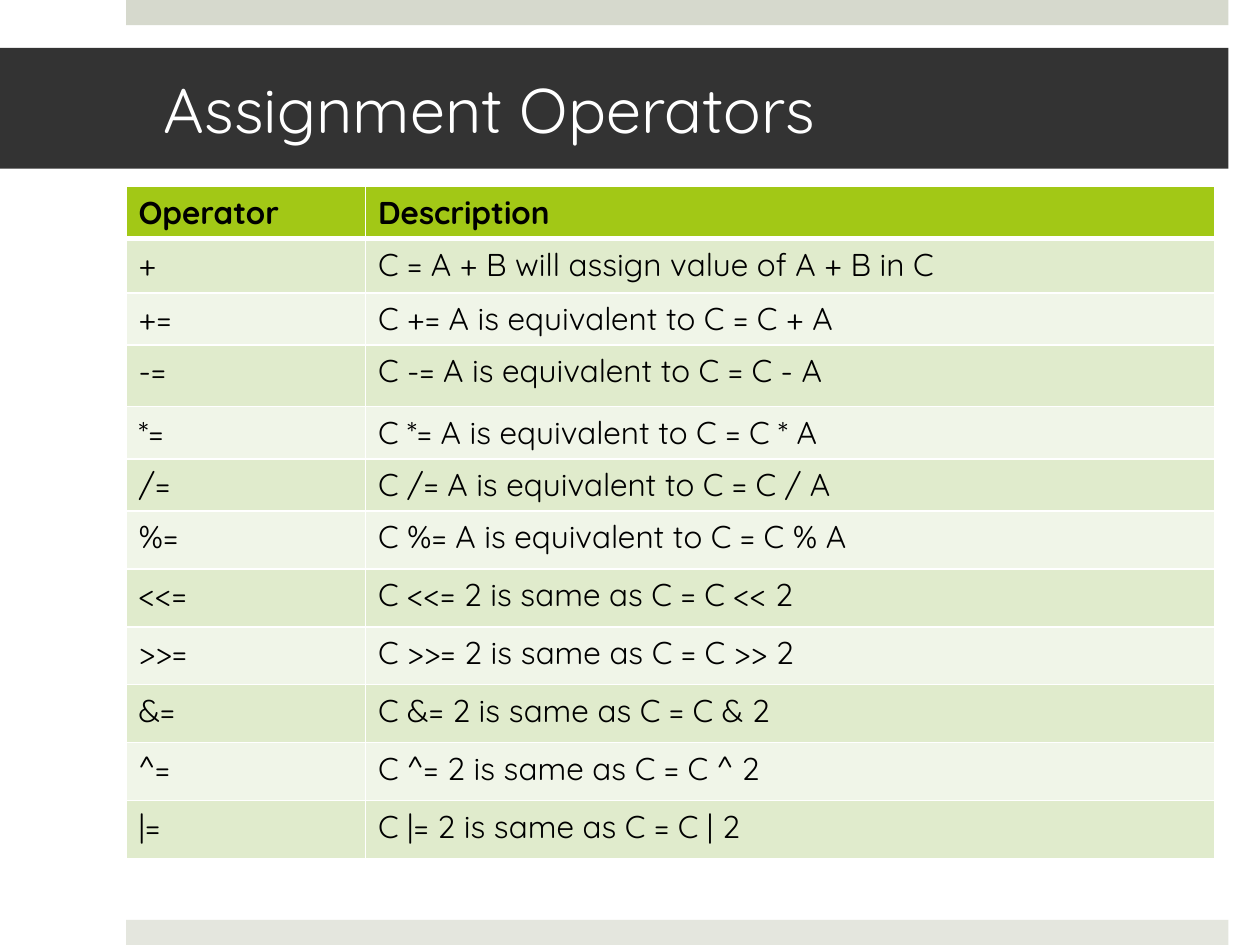
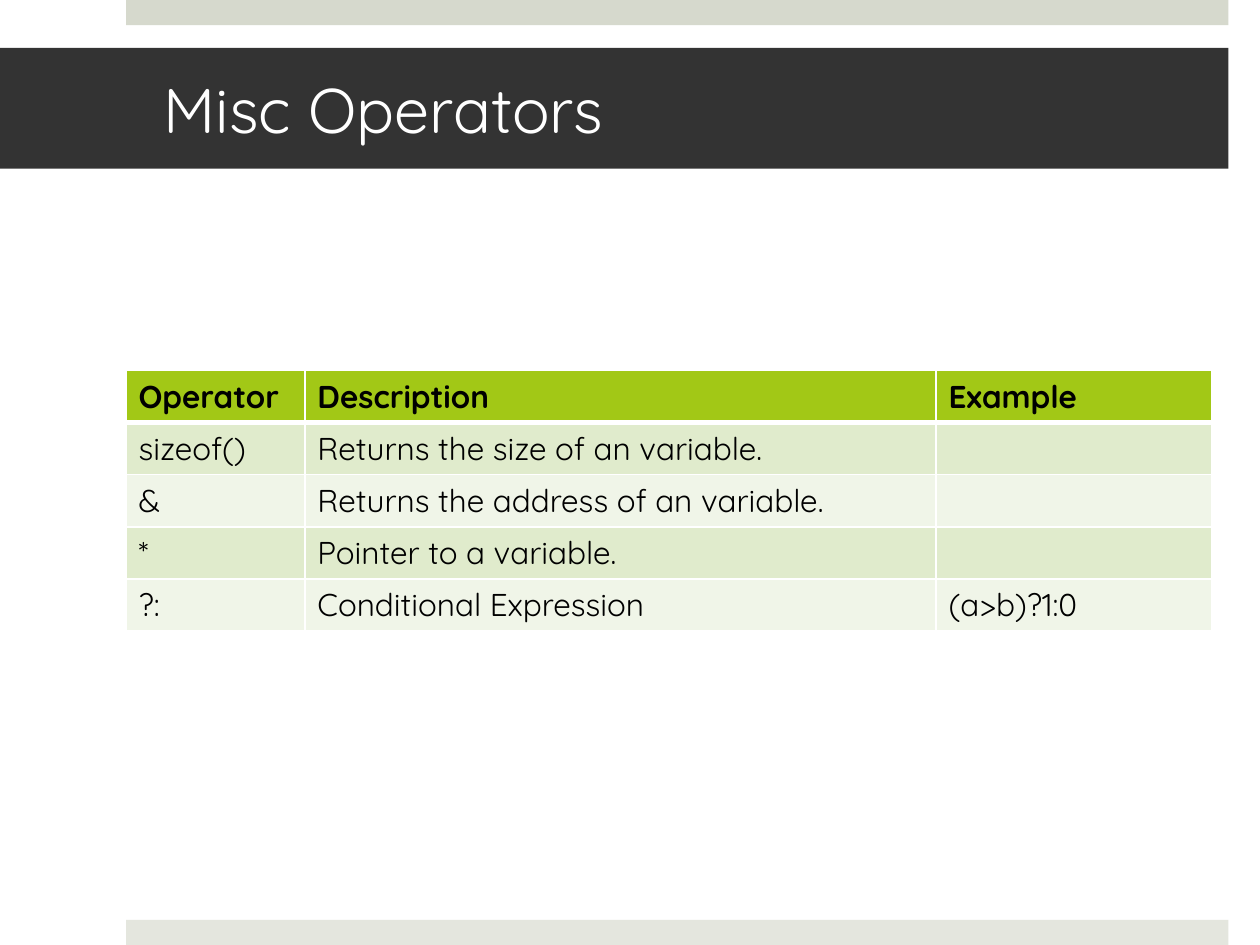
from lxml import etree
from pptx import Presentation
from pptx.dml.color import RGBColor
from pptx.enum.shapes import MSO_SHAPE
from pptx.enum.text import MSO_ANCHOR, PP_ALIGN
from pptx.oxml.ns import qn
from pptx.util import Inches, Pt

RECT = MSO_SHAPE.RECTANGLE
MIDDLE = MSO_ANCHOR.MIDDLE
LEFT = PP_ALIGN.LEFT

COLORS = {
    "top": "D6D9CD",
    "foot": "E4E6DE",
    "title": "333333",
    "white": "FFFFFF",
    "black": "000000",
    "head": "A2C816",
    "odd": "E0EBCC",
    "even": "F0F5E8",
}
FONT = "Quicksand"
TITLE = {"name": FONT, "size": Pt(36), "bold": False}
HEAD = {"name": FONT, "size": Pt(18), "bold": True}
BODY = {**HEAD, "bold": False}
INSETS = {
    "margin_left": Inches(1.3),
    "margin_right": Inches(0.3),
    "margin_top": Inches(0.05),
    "margin_bottom": Inches(0.05),
    "vertical_anchor": MIDDLE,
    "word_wrap": True,
}

ASSIGN = [
    ("Operator", "Description"),
    ("+", "C = A + B will assign value of A + B in C"),
    ("+=", "C += A is equivalent to C = C + A"),
    ("-=", "C -= A is equivalent to C = C - A"),
    ("*=", "C *= A is equivalent to C = C * A"),
    ("/=", "C /= A is equivalent to C = C / A"),
    ("%=", "C %= A is equivalent to C = C % A"),
    ("<<=", "C <<= 2 is same as C = C << 2"),
    (">>=", "C >>= 2 is same as C = C >> 2"),
    ("&=", "C &= 2 is same as C = C & 2"),
    ("^=", "C ^= 2 is same as C = C ^ 2"),
    ("|=", "C |= 2 is same as C = C | 2"),
]
MISC = [
    ("Operator", "Description", "Example"),
    ("sizeof()", "Returns the size of an variable.", ""),
    ("&", "Returns the address of an variable.", ""),
    ("*", "Pointer to a variable.", ""),
    ("?:", "Conditional Expression", "(a>b)?1:0"),
]


def rgb(key):
    return RGBColor.from_string(COLORS[key])


def apply(target, values):
    for name, value in values.items():
        setattr(target, name, value)


def write(para, text, style, color):
    run = para.add_run()
    run.text = text
    apply(run.font, style)
    run.font.color.rgb = rgb(color)


def add_band(slide, box, color):
    band = slide.shapes.add_shape(RECT, *map(Inches, box))
    band.shadow.inherit = False
    band.fill.solid()
    band.fill.fore_color.rgb = rgb(color)
    band.line.fill.background()
    return band


def add_title(slide, box, text):
    frame = add_band(slide, box, "title").text_frame
    apply(frame, INSETS)
    para = frame.paragraphs[0]
    para.alignment = LEFT
    write(para, text, TITLE, "white")


def add_edges(cell, row):
    props = cell._tc.get_or_add_tcPr()
    widths = {"lnL": 1, "lnR": 1, "lnT": 3 if row == 1 else 1, "lnB": 3 if row == 0 else 1}
    for tag, width in widths.items():
        line = etree.SubElement(props, qn(f"a:{tag}"), w=str(Pt(width)))
        fill = etree.SubElement(line, qn("a:solidFill"))
        etree.SubElement(fill, qn("a:srgbClr"), val=COLORS["white"])


def add_grid(slide, left, top, cols, heights, rows):
    box = (left, top, sum(cols), sum(heights))
    grid = slide.shapes.add_table(len(rows), len(cols), *map(Inches, box)).table
    for col, width in zip(grid.columns, cols):
        col.width = Inches(width)
    for i, (height, texts) in enumerate(zip(heights, rows)):
        grid.rows[i].height = Inches(height)
        color = "head" if i == 0 else "odd" if i % 2 else "even"
        for j, text in enumerate(texts):
            cell = grid.cell(i, j)
            add_edges(cell, i)
            cell.fill.solid()
            cell.fill.fore_color.rgb = rgb(color)
            if text:
                write(cell.text_frame.paragraphs[0], text, BODY if i else HEAD, "black")


def add_page(deck, title, top, cols, heights, rows):
    slide = deck.slides.add_slide(deck.slide_layouts[6])
    add_band(slide, (1, 0, 8.75, 0.2), "top")
    add_band(slide, (1, 7.3, 8.75, 0.2), "foot")
    add_title(slide, (0, 0.38, 9.75, 0.96), title)
    add_grid(slide, 1, top, cols, heights, rows)


def main():
    deck = Presentation()
    deck.slide_width, deck.slide_height = Inches(10), Inches(7.5)
    heights = [0.4, 0.43, 0.41, 0.49, 0.41, 0.41] + [0.46] * 6
    add_page(deck, "Assignment Operators", 1.48, (1.9, 6.74), heights, ASSIGN)
    add_page(deck, "Misc Operators", 2.94, (1.42, 5.01, 2.19), [0.41] * 5, MISC)
    deck.save("out.pptx")


if __name__ == "__main__":
    main()
